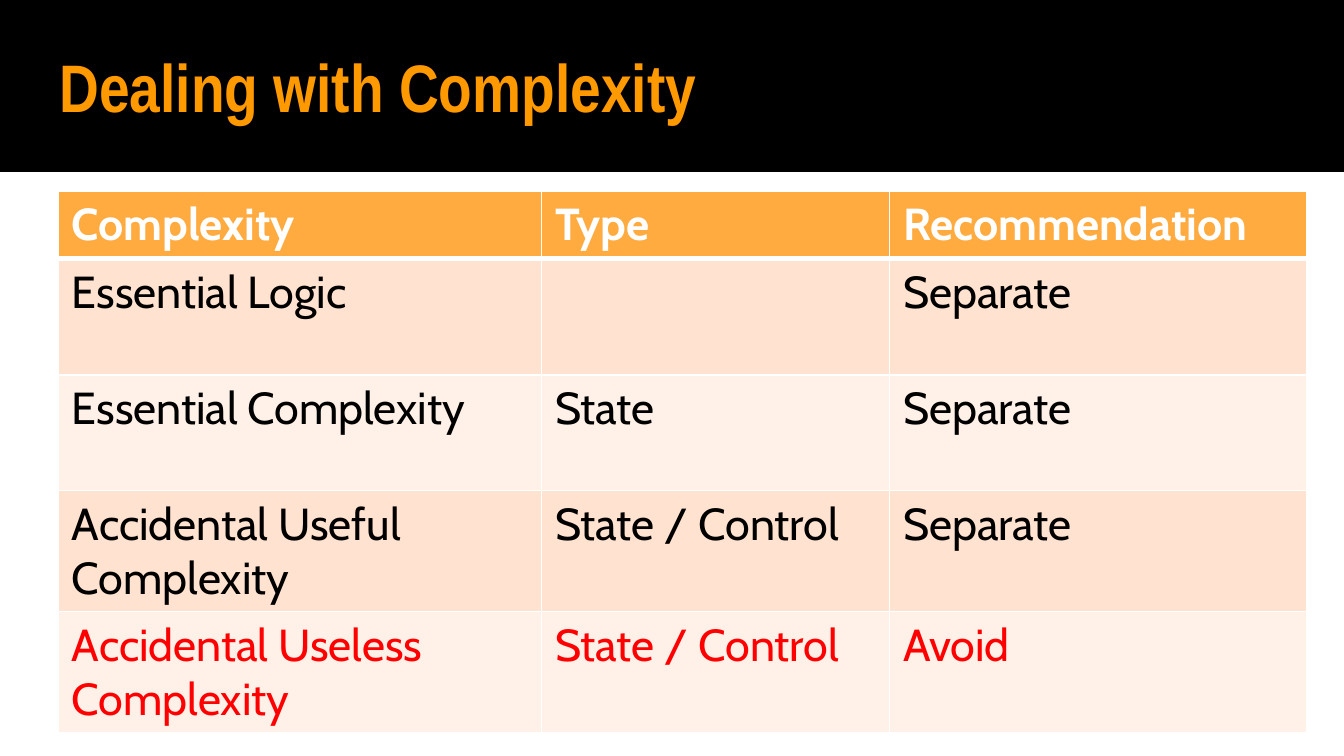
"""Build the slide on dealing with complexity."""
from dataclasses import dataclass
from typing import Any

from lxml.etree import SubElement
from pptx import Presentation
from pptx.dml.color import RGBColor
from pptx.enum.shapes import MSO_SHAPE
from pptx.enum.text import MSO_ANCHOR
from pptx.oxml.ns import qn
from pptx.util import Emu, Pt

SCALE = 4572
HUES = {
    "black": "000000", "white": "FFFFFF", "title": "FF9900", "head": "FFAB40",
    "odd": "FFE2CF", "even": "FFF1E8", "alert": "FF0000",
}
HEAD = {"name": "Arial Narrow", "size": Pt(36), "bold": True}
BODY = {"name": "Cabin", "size": Pt(24), "bold": False}
SIDES = ("left", "right", "top", "bottom")
FRAME = {"word_wrap": True, "vertical_anchor": MSO_ANCHOR.MIDDLE}
FRAME |= {f"margin_{side}": Emu(20 * SCALE) for side in SIDES}
PLAIN = {"first_row": True, "horz_banding": False}
WIDTHS = (719, 518, 620)


@dataclass(frozen=True)
class Row:
    """One table row with its look."""
    texts: tuple[str, str, str]
    fill: str
    high: int = 172
    ink: str = "black"
    bold: bool = False
    rule: int = 1


ROWS = (
    Row(("Complexity", "Type", "Recommendation"), "head", 97, "white", True, 3),
    Row(("Essential Logic", "", "Separate"), "odd", 174),
    Row(("Essential Complexity", "State", "Separate"), "even"),
    Row(("Accidental Useful Complexity", "State / Control", "Separate"), "odd"),
    Row(("Accidental Useless Complexity", "State / Control", "Avoid"), "even", ink="alert"),
)


def px(*vals: int) -> list[Emu]:
    """Turn px into EMU."""
    return [Emu(val * SCALE) for val in vals]


def apply(item: Any, look: dict[str, Any]) -> None:
    """Set each format value on an object."""
    for key, val in look.items():
        setattr(item, key, val)


def paint(fill: Any, hue: str) -> None:
    """Give a solid fill."""
    fill.solid()
    fill.fore_color.rgb = RGBColor.from_string(HUES[hue])


def write(frame: Any, text: str, look: dict[str, Any], hue: str) -> None:
    """Put styled text in a frame."""
    run = frame.paragraphs[0].add_run()
    run.text = text
    apply(run.font, look)
    run.font.color.rgb = RGBColor.from_string(HUES[hue])


def edge(cell: Any, rules: dict[str, int]) -> None:
    """Draw white cell borders."""
    props = cell._tc.get_or_add_tcPr()
    for side, wide in rules.items():
        line = SubElement(props, qn(f"a:ln{side}"), w=str(Pt(wide)))
        fill = SubElement(line, qn("a:solidFill"))
        SubElement(fill, qn("a:srgbClr"), val=HUES["white"])


def band(slide: Any) -> None:
    """Draw the dark band and the title."""
    bar = slide.shapes.add_shape(MSO_SHAPE.RECTANGLE, *px(0, 0, 2000, 256))
    bar.shadow.inherit = False
    paint(bar.fill, "black")
    bar.line.fill.background()
    box = slide.shapes.add_textbox(*px(69, 36, 1864, 184))
    apply(box.text_frame, FRAME)
    write(box.text_frame, "Dealing with Complexity", HEAD, "title")


def grid(slide: Any, rows: tuple[Row, ...]) -> None:
    """Draw the table."""
    area = px(87, 284, sum(WIDTHS), 806)
    table = slide.shapes.add_table(len(rows), len(WIDTHS), *area).table
    apply(table, PLAIN)
    for col, wide in zip(table.columns, px(*WIDTHS)):
        col.width = wide
    above = 1
    for line, row in zip(table.rows, rows):
        line.height = px(row.high)[0]
        for cell, text in zip(line.cells, row.texts):
            edge(cell, {"L": 1, "R": 1, "T": above, "B": row.rule})
            paint(cell.fill, row.fill)
            if text:
                write(cell.text_frame, text, BODY | {"bold": row.bold}, row.ink)
        above = row.rule


def main() -> None:
    """Make and save the deck."""
    deck = Presentation()
    deck.slide_width, deck.slide_height = px(2000, 1125)
    slide = deck.slides.add_slide(deck.slide_layouts[6])
    paint(slide.background.fill, "white")
    band(slide)
    grid(slide, ROWS)
    deck.save("out.pptx")


if __name__ == "__main__":
    main()
